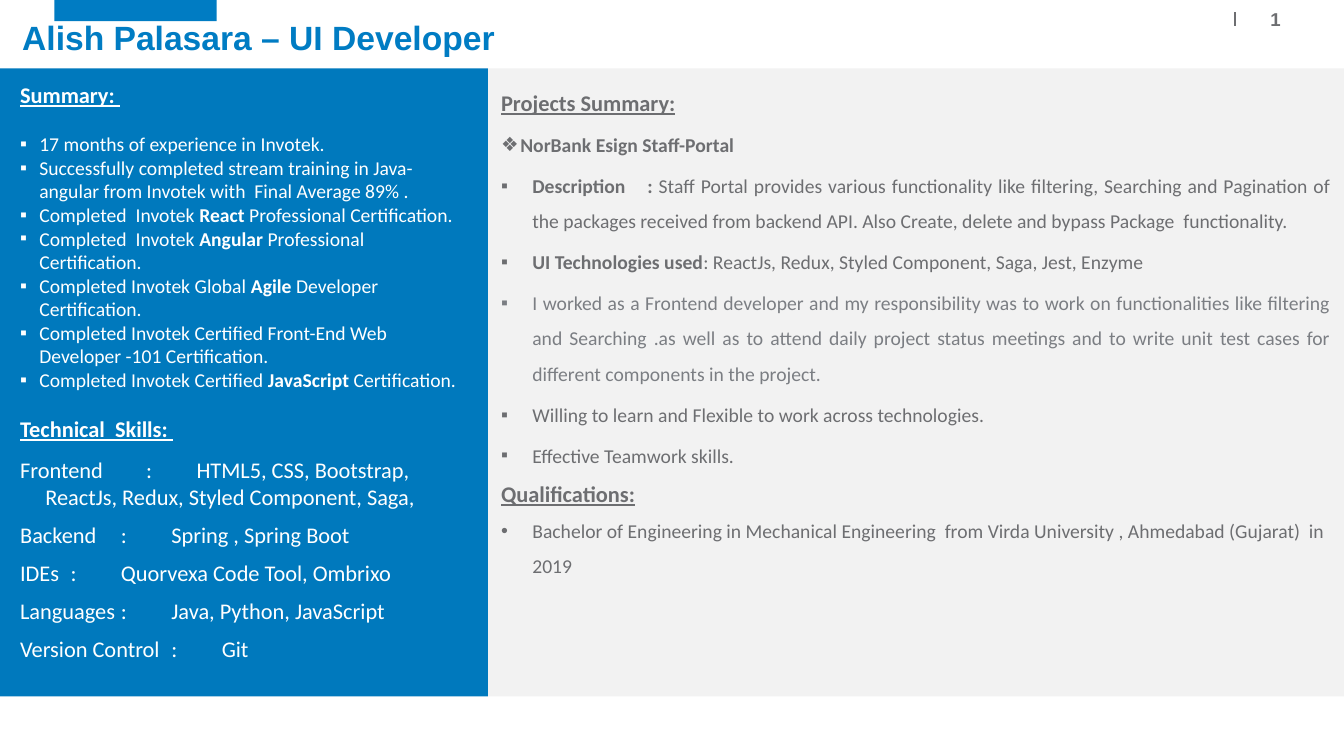
from lxml import etree
from pptx import Presentation
from pptx import util as u
from pptx.dml.color import RGBColor
from pptx.enum import shapes, text
from pptx.oxml.ns import qn

WIDTH, HEIGHT = 13.33, 7.5
SPLIT, TOP, DEPTH = 4.84, 0.68, 6.23
BLUE, PANEL_BLUE, PALE = "007CC3", "0079BD", "F2F2F2"
GREY, LIGHT_GREY, WHITE = "6D6E71", "7B7E83", "FFFFFF"

SUMMARY = [
    "17 months of experience in Invotek.",
    "Successfully completed stream training in Java-angular from Invotek with  Final Average 89% .",
    "Completed  Invotek **React** Professional Certification.",
    "Completed  Invotek **Angular** Professional Certification.",
    "Completed Invotek Global **Agile** Developer Certification.",
    "Completed Invotek Certified Front-End Web Developer -101 Certification.",
    "Completed Invotek Certified **JavaScript** Certification.",
]
SKILLS = [
    ("Backend", "Spring , Spring Boot"),
    ("IDEs", "Quorvexa Code Tool, Ombrixo"),
    ("Languages", "Java, Python, JavaScript"),
    ("Version Control", "Git"),
]
PROJECT = [
    ("**Description\t:** Staff Portal provides various functionality like filtering, Searching and "
     "Pagination of the packages received from backend API. Also Create, delete and bypass "
     "Package  functionality.", GREY),
    ("**UI Technologies used**: ReactJs, Redux, Styled Component, Saga, Jest, Enzyme", GREY),
    ("I worked as a Frontend developer and my responsibility was to work on functionalities like "
     "filtering and Searching .as well as to attend daily project status meetings and to write "
     "unit test cases for different components in the project.", LIGHT_GREY),
    ("Willing to learn and Flexible to work across technologies.", GREY),
    ("Effective Teamwork skills.", GREY),
]


def colour(value):
    return RGBColor.from_string(value)


def set_font(span, size, tone, bold=False, name="Calibri", underline=False):
    span.font.name = name
    span.font.size = u.Pt(size)
    span.font.bold = bold
    span.font.underline = underline
    span.font.color.rgb = colour(tone)


def add_rectangle(page, left, top, width, height, fill):
    box = page.shapes.add_shape(shapes.MSO_SHAPE.RECTANGLE, *map(u.Inches, (left, top, width, height)))
    box.shadow.inherit = False
    box.fill.solid()
    box.fill.fore_color.rgb = colour(fill)
    box.line.fill.background()
    return box


def add_panel(page, left, width, fill, inset_x, inset_y):
    frame = add_rectangle(page, left, TOP, width, DEPTH, fill).text_frame
    frame.word_wrap = True
    frame.vertical_anchor = text.MSO_ANCHOR.TOP
    frame.margin_left = frame.margin_right = u.Inches(inset_x)
    frame.margin_top = frame.margin_bottom = u.Inches(inset_y)
    return frame


def add_para(frame, words, size, tone, before=0, after=0, spacing=1.0, bullet=None,
             hang=0, tabs=(), justify=False, underline=False):
    first = frame.paragraphs[0]
    para = first if not first.runs else frame.add_paragraph()
    para.alignment = text.PP_ALIGN.JUSTIFY if justify else text.PP_ALIGN.LEFT
    para.line_spacing = spacing
    para.space_before, para.space_after = u.Pt(before), u.Pt(after)
    for number, part in enumerate(words.split("**")):
        if part:
            span = para.add_run()
            span.text = part
            set_font(span, size, tone, number % 2 == 1, underline=underline)
    props = para._p.get_or_add_pPr()
    props.set("marL", str(u.Inches(hang)))
    props.set("indent", str(-u.Inches(hang)))
    if bullet:
        etree.SubElement(props, qn("a:buFont")).set("typeface", "Arial")
        etree.SubElement(props, qn("a:buChar")).set("char", bullet)
    if tabs:
        stops = etree.SubElement(props, qn("a:tabLst"))
        for position in tabs:
            stop = etree.SubElement(stops, qn("a:tab"))
            stop.set("pos", str(u.Inches(position)))
            stop.set("algn", "l")


def add_heading(frame, words, tone, **layout):
    add_para(frame, f"**{words}**", 16, tone, underline=True, **layout)


def add_title(page, words):
    title = page.shapes.title
    title.left, title.top, title.width, title.height = map(u.Inches, (0.12, 0.19, 11.88, 0.43))
    frame = title.text_frame
    frame.text = words
    frame.auto_size = text.MSO_AUTO_SIZE.NONE
    frame.vertical_anchor = text.MSO_ANCHOR.BOTTOM
    para = frame.paragraphs[0]
    para.alignment = text.PP_ALIGN.LEFT
    para.line_spacing = 0.9
    set_font(para.runs[0], 24, BLUE, True, "Arial")


def add_page_number(page, words):
    rule = page.shapes.add_connector(shapes.MSO_CONNECTOR.STRAIGHT,
                                     *map(u.Inches, (12.25, 0.12, 12.25, 0.26)))
    rule.line.color.rgb = colour(GREY)
    rule.line.width = u.Pt(1)
    etree.SubElement(rule._element.spPr, qn("a:effectLst"))
    frame = page.shapes.add_textbox(*map(u.Inches, (12.58, 0.06, 0.14, 0.26))).text_frame
    frame.margin_left = frame.margin_right = frame.margin_top = frame.margin_bottom = u.Inches(0.02)
    frame.vertical_anchor = text.MSO_ANCHOR.MIDDLE
    frame.word_wrap = False
    frame.text = words
    para = frame.paragraphs[0]
    para.alignment = text.PP_ALIGN.CENTER
    set_font(para.runs[0], 13.3, GREY, True, "Arial")


def add_projects(page):
    frame = add_panel(page, SPLIT, WIDTH - SPLIT, PALE, 0.13, 0.07)
    add_heading(frame, "Projects Summary:", GREY, spacing=1.5)
    add_para(frame, "**NorBank Esign Staff-Portal**", 14, GREY, before=4, spacing=1.5,
             bullet="❖", hang=0.19)
    for words, tone in PROJECT:
        add_para(frame, words, 14, tone, before=4, spacing=1.5, bullet="▪", hang=0.31,
                 tabs=(1.45,) if "\t" in words else (), justify=True)
    add_heading(frame, "Qualifications:", GREY, spacing=1.5)
    add_para(frame, "Bachelor of Engineering in Mechanical Engineering  from Virda University , "
             "Ahmedabad (Gujarat)  in 2019", 14, GREY, spacing=1.5, bullet="•", hang=0.31)


def add_profile(page):
    frame = add_panel(page, 0, SPLIT, PANEL_BLUE, 0.2, 0.13)
    add_heading(frame, "Summary: ", WHITE, after=17)
    for words in SUMMARY:
        add_para(frame, words, 14, WHITE, bullet="▪", hang=0.19)
    add_heading(frame, "Technical  Skills: ", WHITE, before=17, after=2)
    add_para(frame, "Frontend\t:\tHTML5, CSS, Bootstrap, ReactJs, Redux, Styled Component, Saga,",
             16, WHITE, before=8, hang=0.25, tabs=(1.02, 1.28))
    for name, value in SKILLS:
        add_para(frame, f"{name}\t:\t{value}", 16, WHITE, before=8, tabs=(1.65, 1.87))


def main():
    deck = Presentation()
    deck.slide_width, deck.slide_height = u.Inches(WIDTH), u.Inches(HEIGHT)
    page = deck.slides.add_slide(deck.slide_layouts[5])
    add_rectangle(page, 0.54, 0, 1.61, 0.21, BLUE)
    add_projects(page)
    add_profile(page)
    add_page_number(page, "1")
    add_title(page, "Alish Palasara – UI Developer")
    deck.save("out.pptx")


if __name__ == "__main__":
    main()
